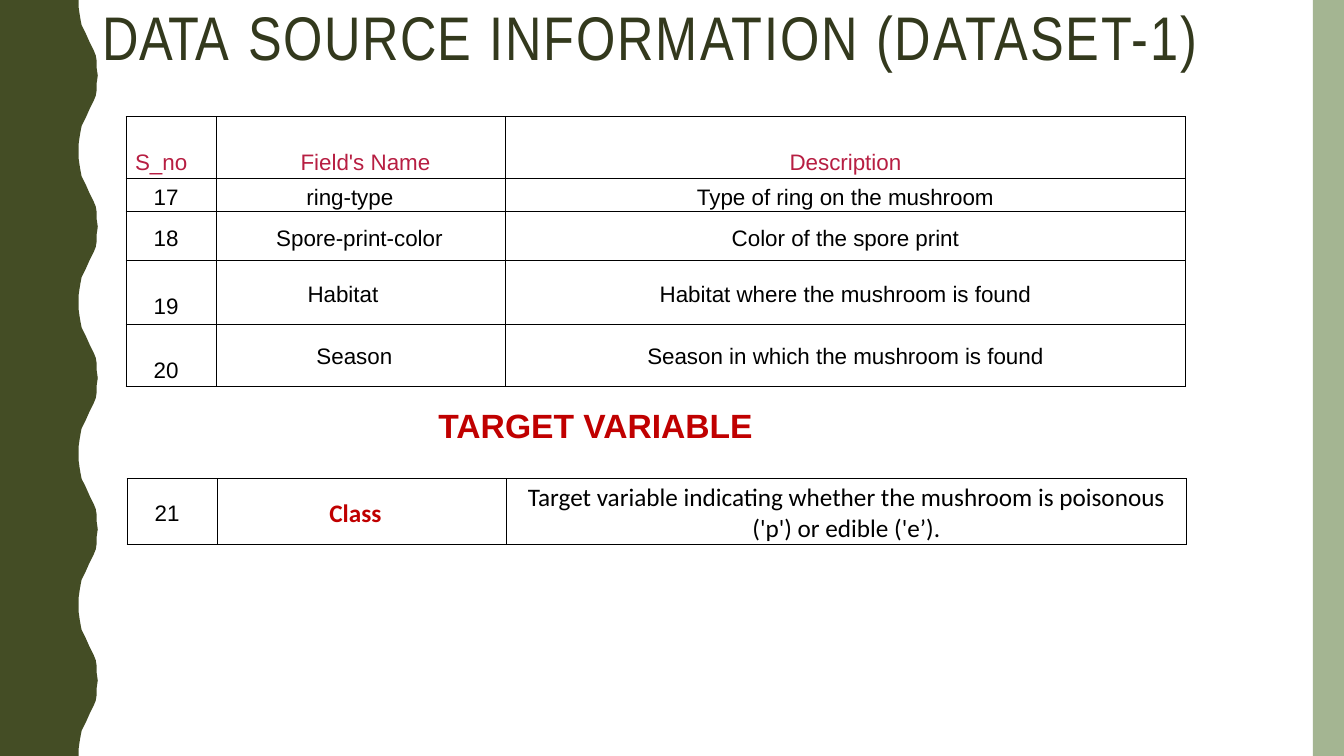
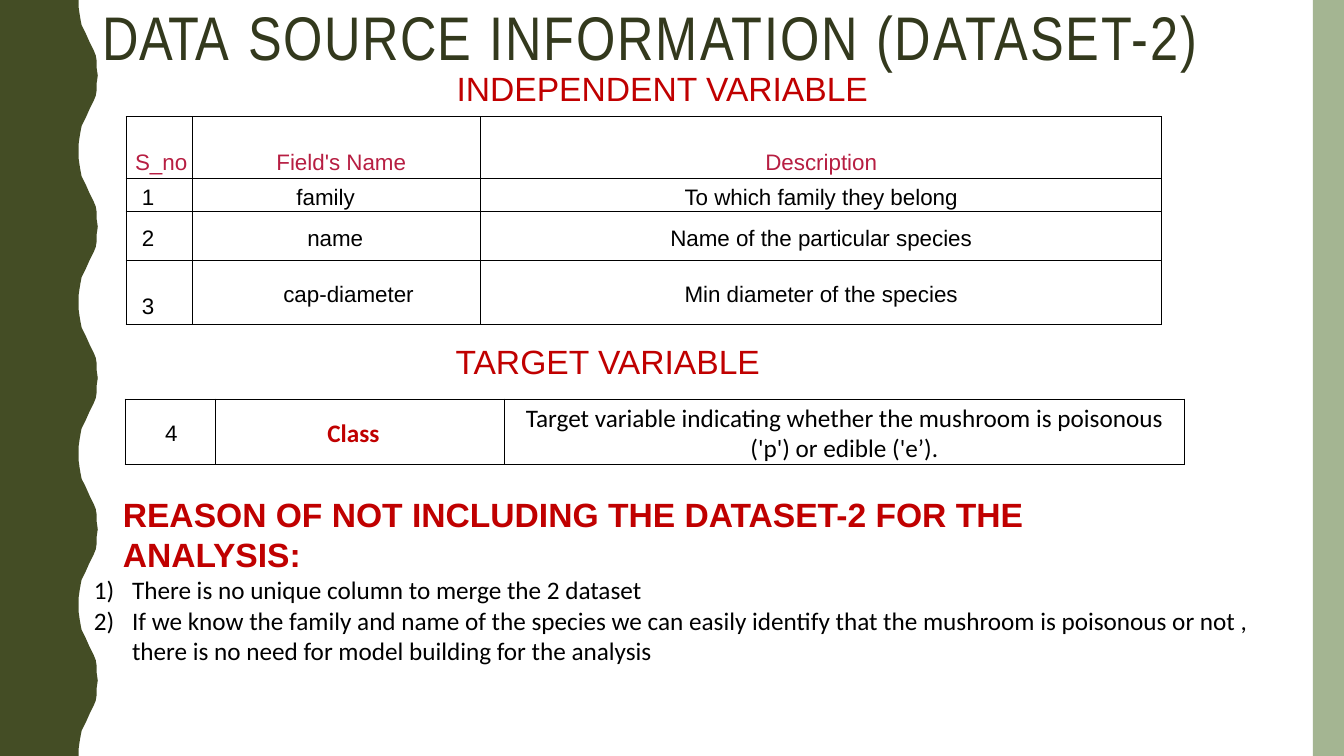
"""Build two slides that describe the fields of the mushroom datasets."""
from lxml.etree import SubElement
from pptx import Presentation
from pptx.dml.color import RGBColor
from pptx.enum.shapes import MSO_SHAPE
from pptx.enum.text import MSO_ANCHOR, MSO_AUTO_SIZE, PP_ALIGN
from pptx.oxml.ns import qn
from pptx.util import Inches, Pt

COLORS = {"wave": "444D25", "band": "A4B592", "title": "33391D",
          "header": "B71E42", "accent": "C00000", "text": "000000"}
WIDTH, HEIGHT = 13.33, 7.5
BAND = 0.31
TITLE_BOX = (1, -0.03, 11.72, 0.75)
NAME_COLUMN, DESCRIPTION_COLUMN = 2.86, 6.75
NUMBER_RIGHT = 0.38
UNITS_PER_INCH = 100
PERIOD = 150
HALF_WAVE = [(78, 0), (78, 7), (79, 14), (80, 20), (81, 25), (83, 29), (85, 33),
             (89, 42), (91, 46), (93, 50), (95, 55), (96, 61), (96, 68), (97, 75)]
FULL_WAVE = HALF_WAVE + [(x, PERIOD - y) for x, y in HALF_WAVE[-2::-1]]
BOTTOM_EDGE = round(HEIGHT * UNITS_PER_INCH)
EDGE = [(x, y + start) for start in range(0, BOTTOM_EDGE, PERIOD) for x, y in FULL_WAVE]

HEADER = ("S_no", "Field's Name", "Description")
TARGET = ("Class", "Target variable indicating whether the mushroom is poisonous "
          "('p') or edible ('e’).")
MIDDLE, BOTTOM = MSO_ANCHOR.MIDDLE, MSO_ANCHOR.BOTTOM
LEFT, CENTER, RIGHT = PP_ALIGN.LEFT, PP_ALIGN.CENTER, PP_ALIGN.RIGHT

ROW_STYLES = [
    {"height": 0.61, "top": 0.04, "bottom": 0.03, "anchor": BOTTOM, "name": (CENTER, 0.09, 0)},
    {"height": 0.33, "top": 0.06, "bottom": 0, "anchor": MIDDLE, "name": (CENTER, 0, 0.22)},
    {"height": 0.48, "top": 0.06, "bottom": 0, "anchor": MIDDLE, "name": (CENTER, 0, 0.03)},
    {"height": 0.64, "top": 0.04, "bottom": 0.05, "anchor": BOTTOM, "name": (LEFT, 0.9, 0)},
    {"height": 0.61, "top": 0.04, "bottom": 0.03, "anchor": BOTTOM, "name": (CENTER, 0, 0.13)},
]
TARGET_STYLE = {"height": 0.64, "top": 0.04, "bottom": 0, "anchor": MIDDLE,
                "name": (CENTER, 0, 0.13)}

SLIDES = [
    {"title": "INFORMATION (DATASET-1)",
     "number_column": 0.9,
     "fields": [("17", "ring-type", "Type of ring on the mushroom"),
                ("18", "Spore-print-color", "Color of the spore print"),
                ("19", "Habitat", "Habitat where the mushroom is found"),
                ("20", "Season", "Season in which the mushroom is found")],
     "target": ("21", 1.26, 4.75),
     "headings": [("TARGET VARIABLE", True, (4.25, 3.97, 6.58, 0.5))],
     "reasons": []},
    {"title": "INFORMATION (DATASET-2)",
     "number_column": 0.66,
     "fields": [("1", "family", "To which family they belong"),
                ("2", "name", "Name of the particular species"),
                ("3", "cap-diameter", "Min diameter of the species")],
     "target": ("4", 1.24, 3.96),
     "headings": [("INDEPENDENT VARIABLE", False, (4.43, 0.62, 6.58, 0.5)),
                  ("TARGET VARIABLE", False, (4.42, 3.33, 6.58, 0.5)),
                  ("REASON OF NOT INCLUDING THE DATASET-2 FOR THE ANALYSIS:", True,
                   (1.12, 4.85, 10.46, 0.91))],
     "reasons": ["There is no unique column to merge the 2 dataset",
                 "If we know the family and name of the species we can easily identify "
                 "that the mushroom is poisonous or not , there is no need for model "
                 "building for the analysis"]},
]


def style_run(span, size, font, color, bold=False):
    """Set the look of one run."""
    span.font.size = Pt(size)
    span.font.name = font
    span.font.bold = bold
    span.font.color.rgb = RGBColor.from_string(COLORS[color])


def add_grid(page, left, top, number_column, rows, styles, is_target=False):
    """Add a three-column table with thin black borders."""
    widths = (number_column, NAME_COLUMN, DESCRIPTION_COLUMN)
    height = sum(style["height"] for style in styles)
    table = page.shapes.add_table(len(rows), len(widths), Inches(left), Inches(top),
                                  Inches(sum(widths)), Inches(height)).table
    table.first_row = table.horz_banding = False
    for column, width in zip(table.columns, widths):
        column.width = Inches(width)
    for row, texts, style in zip(table.rows, rows, styles):
        row.height = Inches(style["height"])
        is_header = texts == HEADER
        number = (LEFT, 0.09, 0) if is_header else (RIGHT, 0, NUMBER_RIGHT)
        places = (number, style["name"], (CENTER, 0, 0))
        for index, (cell, text, place) in enumerate(zip(row.cells, texts, places)):
            align, margin_left, margin_right = place
            sinks = style["anchor"] == BOTTOM and (is_header or index == 0)
            cell.vertical_anchor = BOTTOM if sinks else MIDDLE
            cell.margin_left, cell.margin_right = Inches(margin_left), Inches(margin_right)
            cell.margin_top = Inches(style["top"])
            cell.margin_bottom = Inches(style["bottom"] if sinks else 0)
            properties = cell._tc.get_or_add_tcPr()
            for side in ("a:lnL", "a:lnR", "a:lnT", "a:lnB"):
                line = SubElement(properties, qn(side), w=str(Pt(0.75)))
                fill = SubElement(line, qn("a:solidFill"))
                SubElement(fill, qn("a:srgbClr"), val=COLORS["text"])
            cell.fill.background()
            cell.text = text
            para = cell.text_frame.paragraphs[0]
            para.alignment = align
            if is_target and index > 0:
                is_name = index == 1
                style_run(para.runs[0], 18, "Calibri", "accent" if is_name else "text", is_name)
            else:
                style_run(para.runs[0], 16, "Arial", "header" if is_header else "text")


deck = Presentation()
deck.slide_width, deck.slide_height = Inches(WIDTH), Inches(HEIGHT)

for content in SLIDES:
    layout_name = "Title and Content" if content["reasons"] else "Title Only"
    page = deck.slides.add_slide(deck.slide_layouts.get_by_name(layout_name))

    builder = page.shapes.build_freeform(0, 0, scale=Inches(1) / UNITS_PER_INCH)
    builder.add_line_segments(EDGE + [(0, BOTTOM_EDGE)], close=True)
    wave = builder.convert_to_shape()
    band = page.shapes.add_shape(MSO_SHAPE.RECTANGLE, Inches(WIDTH - BAND), 0,
                                 Inches(BAND), Inches(HEIGHT))
    for shape, color in ((wave, "wave"), (band, "band")):
        shape.shadow.inherit = False
        shape.fill.solid()
        shape.fill.fore_color.rgb = RGBColor.from_string(COLORS[color])
        shape.line.fill.background()

    title = page.shapes.title
    page.shapes._spTree.append(title._element)
    title.left, title.top, title.width, title.height = map(Inches, TITLE_BOX)
    frame = title.text_frame
    frame.auto_size = MSO_AUTO_SIZE.NONE
    frame.vertical_anchor = MSO_ANCHOR.TOP
    frame.margin_left = frame.margin_top = Inches(0.02)
    frame.margin_right = frame.margin_bottom = 0
    para = frame.paragraphs[0]
    para.alignment = LEFT
    tabs = SubElement(para._p.get_or_add_pPr(), qn("a:tabLst"))
    SubElement(tabs, qn("a:tab"), pos=str(Inches(1.44)), algn="l")
    for text, spacing in (("DATA\t", -20), ("SOURCE ", 110), (content["title"], 140)):
        span = para.add_run()
        span.text = text
        style_run(span, 44, "Arial Narrow", "title")
        span._r.get_or_add_rPr().set("spc", str(spacing))

    rows = [HEADER] + content["fields"]
    add_grid(page, 1.25, 1.16, content["number_column"], rows, ROW_STYLES[:len(rows)])
    number, left, top = content["target"]
    add_grid(page, left, top, 0.9, [(number,) + TARGET], [TARGET_STYLE], is_target=True)

    for text, bold, place in content["headings"]:
        box = page.shapes.add_textbox(*map(Inches, place))
        box.text_frame.word_wrap = True
        box.text_frame.text = text
        style_run(box.text_frame.paragraphs[0].runs[0], 24, "Arial", "accent", bold)

    if content["reasons"]:
        body = page.placeholders[1]
        page.shapes._spTree.append(body._element)
        body.left, body.top, body.width, body.height = map(Inches, (0.83, 5.65, 11.75, 1.01))
        body.text_frame.text = "\n".join(content["reasons"])
        body.text_frame.auto_size = MSO_AUTO_SIZE.NONE
        for para in body.text_frame.paragraphs:
            para.space_before = 0
            properties = para._p.get_or_add_pPr()
            properties.set("marL", str(Inches(0.38)))
            properties.set("indent", str(Inches(-0.38)))
            SubElement(properties, qn("a:buFont"), typeface="+mj-lt")
            SubElement(properties, qn("a:buAutoNum"), type="arabicParenR")
            style_run(para.runs[0], 18, "Calibri", "text")

deck.save("out.pptx")
